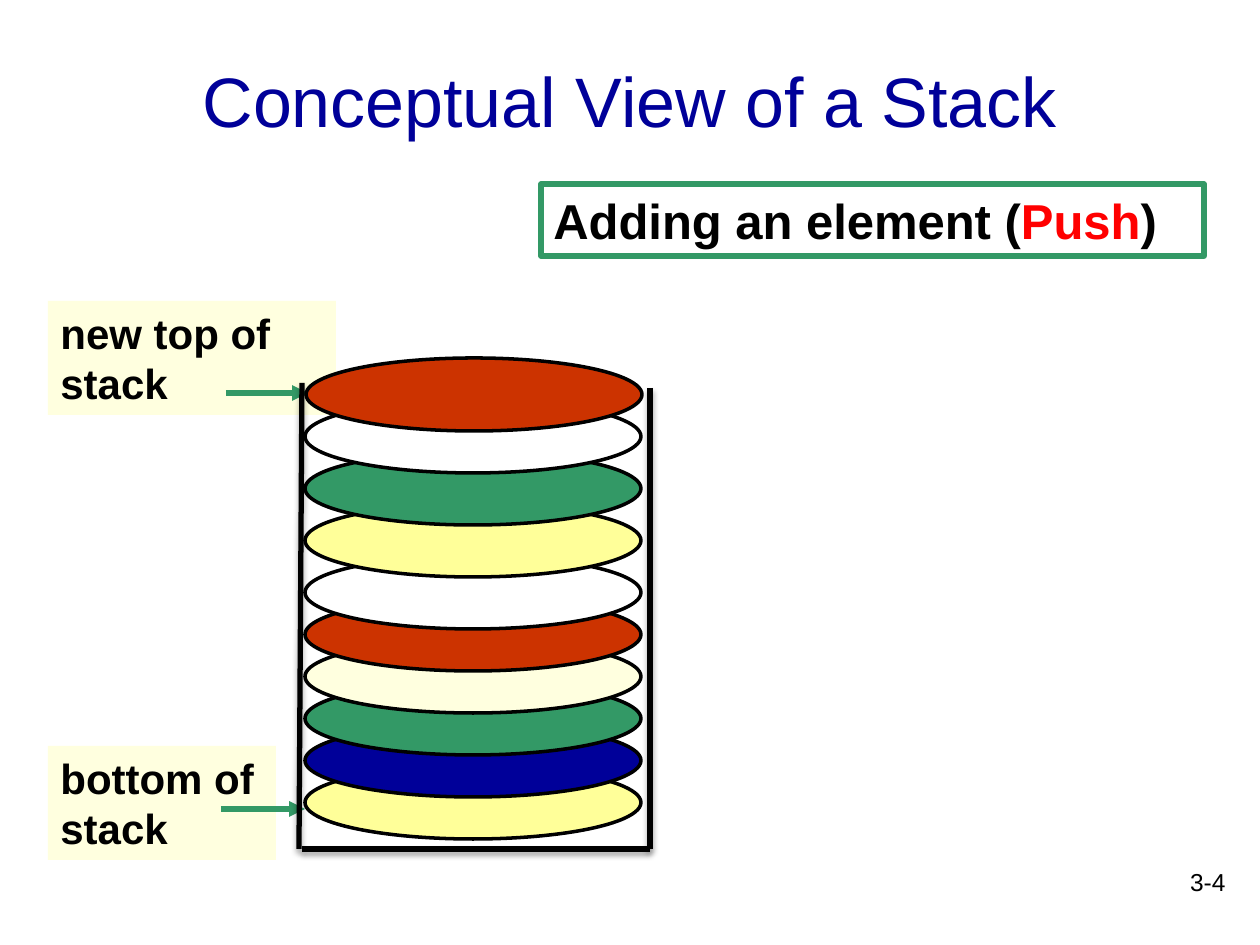
"""Build a slide that shows a push onto a stack of discs."""
from lxml.etree import SubElement as Sub
from pptx import Presentation
from pptx.dml.color import RGBColor as RGB
from pptx.enum.shapes import MSO_CONNECTOR as Conn, MSO_SHAPE as Form
from pptx.enum.text import MSO_ANCHOR as Anchor, PP_ALIGN as Align
from pptx.oxml.ns import qn
from pptx.util import Emu, Pt

BLACK, WHITE = RGB(0, 0, 0), RGB(255, 255, 255)
NAVY, GREEN = RGB(0, 0, 0x99), RGB(0x33, 0x99, 0x66)
RUST, RED = RGB(0xCC, 0x33, 0), RGB(255, 0, 0)
LEMON, CREAM = RGB(255, 255, 0x99), RGB(255, 255, 0xDF)

TITLE = "Conceptual View of a Stack"
PAGE = "3-4"
PUSH = [("Adding an element (", BLACK), ("Push", RED), (")", BLACK)]
LABELS = [
    ("bottom of stack", (48, 746, 228, 114)),
    ("new top of stack", (48, 301, 288, 114)),
]
LOW = [LEMON, NAVY, GREEN, CREAM, RUST, WHITE]
HIGH = [LEMON, GREEN, WHITE]
ARROWS = [(226, 393, 308, 393), (221, 809, 305, 809)]
WALLS = [(302, 383, 299, 849), (302, 849, 650, 849), (650, 388, 650, 849)]

DISC_X, DISC_Y, DISC_W, DISC_H = 305, 766, 336, 73
LOW_GAP, HIGH_GAP = 42, 52
SCALE = 914400 / 126


def emu(*nums):
    return [Emu(round(n * SCALE)) for n in nums]


def write(frame, runs, size, bold=False, align=Align.LEFT, anchor=Anchor.TOP):
    frame.word_wrap = True
    frame.vertical_anchor = anchor
    para = frame.paragraphs[0]
    para.alignment = align
    for text, tint in runs:
        run = para.add_run()
        run.text = text
        form = {"name": "Arial", "size": Pt(size), "bold": bold}
        for key, val in form.items():
            setattr(run.font, key, val)
        run.font.color.rgb = tint


def box(slide, area, runs, size, **form):
    item = slide.shapes.add_textbox(*emu(*area))
    write(item.text_frame, runs, size, **form)
    return item


def disc(slide, x, y, tint):
    item = slide.shapes.add_shape(Form.OVAL, *emu(x, y, DISC_W, DISC_H))
    item.shadow.inherit = False
    item.fill.solid()
    item.fill.fore_color.rgb = tint
    item.line.color.rgb = BLACK
    item.line.width = Pt(2)


def line(slide, ends, tint):
    item = slide.shapes.add_connector(Conn.STRAIGHT, *emu(*ends))
    item.line.color.rgb = tint
    item.line.width = Pt(3)
    return item, Sub(item._element.spPr, qn("a:effectLst"))


def arrow(slide, ends):
    item, _ = line(slide, ends, GREEN)
    Sub(item.line._get_or_add_ln(), qn("a:tailEnd"), type="triangle")


def wall(slide, ends):
    _, fx = line(slide, ends, BLACK)
    form = {"blurRad": Pt(3.1), "dist": Pt(1.8), "dir": 90 * 60000}
    shade = Sub(fx, qn("a:outerShdw"), {k: str(int(v)) for k, v in form.items()})
    shade.set("rotWithShape", "0")
    tint = Sub(shade, qn("a:srgbClr"), val=str(BLACK))
    Sub(tint, qn("a:alpha"), val="35000")


def main():
    deck = Presentation()
    deck.slide_width, deck.slide_height = emu(1260, 945)
    slide = deck.slides.add_slide(deck.slide_layouts[5])

    head = slide.shapes.title
    area = emu(94, 21, 1071, 158)
    for key, val in zip(("left", "top", "width", "height"), area):
        setattr(head, key, val)
    write(head.text_frame, [(TITLE, NAVY)], 40, align=Align.CENTER, anchor=Anchor.MIDDLE)
    box(slide, (976, 861, 262, 63), [(PAGE, BLACK)], 14, align=Align.RIGHT)

    for i, tint in enumerate(LOW):
        disc(slide, DISC_X, DISC_Y - i * LOW_GAP, tint)
    base = DISC_Y - (len(LOW) - 1) * LOW_GAP
    for i, tint in enumerate(HIGH, 1):
        disc(slide, DISC_X, base - i * HIGH_GAP, tint)

    for text, area in LABELS:
        label = box(slide, area, [(text, BLACK)], 24, bold=True)
        label.fill.solid()
        label.fill.fore_color.rgb = CREAM
    for ends in ARROWS:
        arrow(slide, ends)

    frame = box(slide, (541, 184, 663, 72), PUSH, 28, bold=True)
    frame.line.color.rgb = GREEN
    frame.line.width = Pt(3)

    disc(slide, 306, 358, RUST)
    for ends in WALLS:
        wall(slide, ends)
    deck.save("out.pptx")


if __name__ == "__main__":
    main()
